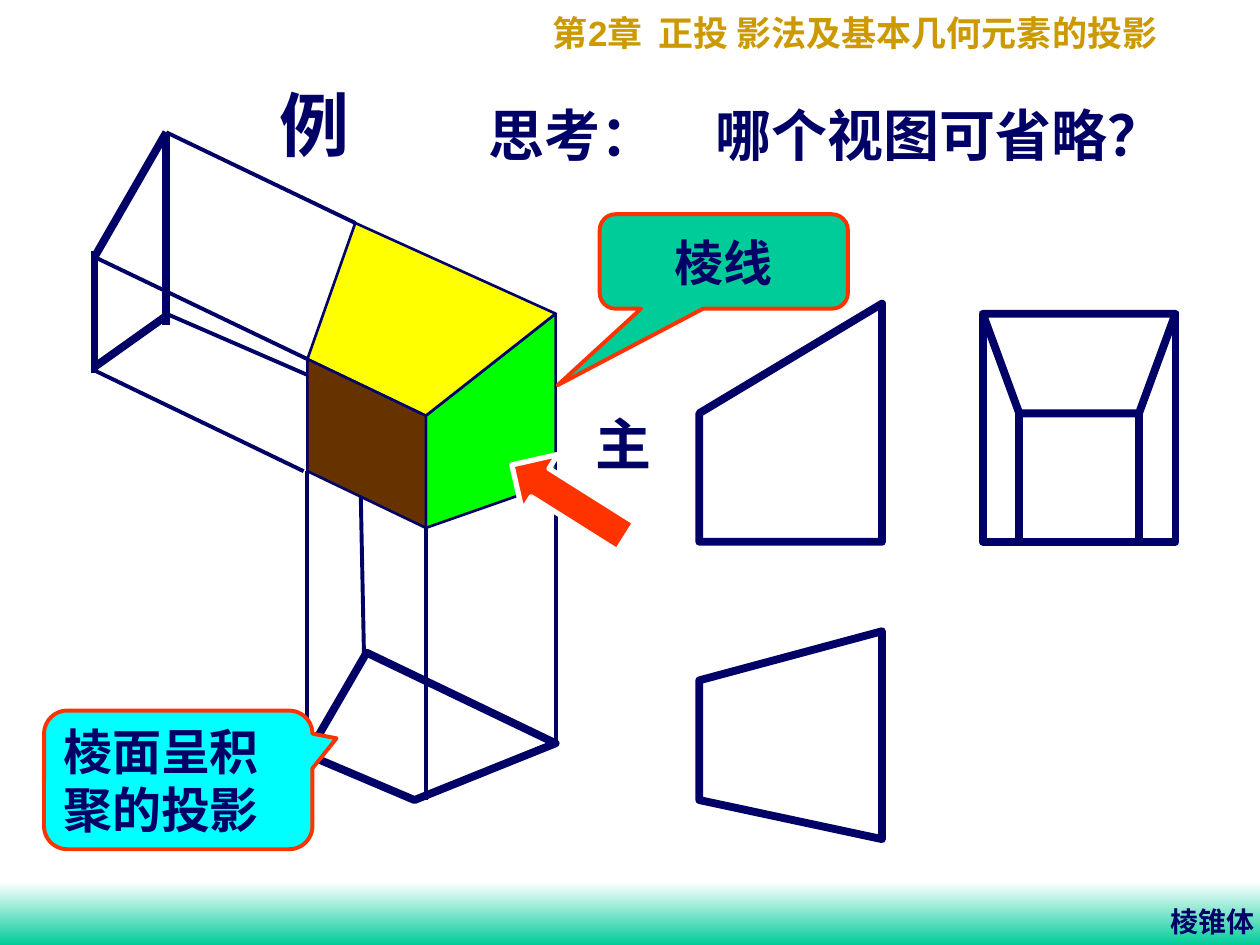
from lxml.etree import SubElement
from pptx import Presentation
from pptx.dml.color import RGBColor as RGB
from pptx.enum.shapes import MSO_CONNECTOR as Connector, MSO_SHAPE as Preset
from pptx.enum.text import MSO_ANCHOR as Anchor, MSO_AUTO_SIZE as AutoSize, PP_ALIGN as Align
from pptx.oxml.ns import qn
from pptx.util import Inches, Pt

COLORS = {
    "ink": "000066", "white": "FFFFFF", "gold": "CC9900", "teal": "00CC99",
    "cyan": "00FFFF", "red": "FF3300", "green": "00FF00", "yellow": "FFFF00",
    "brown": "663300",
}
COLUMNS, ROWS = 100, 75
WIDTH, HEIGHT = Inches(10), Inches(7.5)
THICK, MEDIUM, THIN = 4.5, 2.25, 1.5


def color(name):
    return RGB.from_string(COLORS[name])


def column(count):
    return round(WIDTH * count / COLUMNS)


def row(count):
    return round(HEIGHT * count / ROWS)


def place(box):
    left, top, width, height = box
    return column(left), row(top), column(width), row(height)


def paint(shape, fill=None, line=None, weight=MEDIUM):
    shape.shadow.inherit = False
    if fill:
        shape.fill.solid()
        shape.fill.fore_color.rgb = color(fill)
    else:
        shape.fill.background()
    if line:
        shape.line.color.rgb = color(line)
        shape.line.width = Pt(weight)
    else:
        shape.line.fill.background()


def write(shape, text, size, ink="ink", align=Align.LEFT, anchor=Anchor.TOP, wrap=False):
    frame = shape.text_frame
    frame.text = text
    frame.word_wrap = wrap
    frame.auto_size = AutoSize.NONE
    frame.vertical_anchor = anchor
    frame.margin_left = frame.margin_right = Inches(0.1)
    frame.margin_top = frame.margin_bottom = Inches(0.05)
    for paragraph in frame.paragraphs:
        paragraph.alignment = align
        for run in paragraph.runs:
            run.font.name = "Times New Roman"
            run.font.size = Pt(size)
            run.font.bold = True
            run.font.color.rgb = color(ink)


def add_text(slide, box, text, size, **style):
    shape = slide.shapes.add_textbox(*place(box))
    write(shape, text, size, **style)
    return shape


def add_title(slide, box, text, size):
    title = slide.shapes.title
    title.left, title.top, title.width, title.height = place(box)
    write(title, text, size, wrap=True)


def add_outline(slide, points, fill=None, weight=THICK, close=True):
    corners = [(column(x), row(y)) for x, y in points]
    builder = slide.shapes.build_freeform(*corners[0])
    builder.add_line_segments(corners[1:], close=close)
    paint(builder.convert_to_shape(), fill, "ink", weight)


def add_line(slide, start, end, weight=MEDIUM):
    line = slide.shapes.add_connector(
        Connector.STRAIGHT, column(start[0]), row(start[1]), column(end[0]), row(end[1]))
    line.line.color.rgb = color("ink")
    line.line.width = Pt(weight)
    SubElement(line._element.spPr, qn("a:effectLst"))


def add_preset(slide, preset, box, adjustments, fill, line, weight=MEDIUM):
    shape = slide.shapes.add_shape(preset, *place(box))
    for index, value in enumerate(adjustments):
        shape.adjustments[index] = value
    paint(shape, fill, line, weight)
    return shape


def add_callout(slide, box, tail, fill, text, align):
    shape = add_preset(slide, Preset.ROUNDED_RECTANGULAR_CALLOUT, box, (*tail, 0.167), fill, "red")
    write(shape, text, 28, align=align, anchor=Anchor.MIDDLE)


def add_frame(slide):
    band = slide.shapes.add_shape(Preset.RECTANGLE, *place((0, 70, 100, 5)))
    paint(band)
    band.fill.gradient()
    band.fill.gradient_angle = 270
    for stop, name in zip(band.fill.gradient_stops, ("white", "teal")):
        stop.color.rgb = color(name)
    header = add_text(slide, (42.9, 0.4, 52.9, 4.4), "第", 20, ink="gold", wrap=True)
    paragraph = header.text_frame.paragraphs[0]
    for text, font in (("2", "Arial"), ("章  正投 影法及基本几何元素的投影", "Times New Roman")):
        run = paragraph.add_run()
        run.text = text
        run.font.name = font
        run.font.size = Pt(20)
        run.font.bold = True
        run.font.color.rgb = color("gold")


def add_views(slide):
    left, right, base, shoulder = 55.5, 70, 43, 32.8
    add_outline(slide, [(left, base), (right, base), (right, 24.1), (left, shoulder)])
    add_outline(slide, [(left, 54), (left, 63.5), (right, 66.6), (right, 50.1)])
    outer, inner, top = (78, 93.3), (80.9, 90.4), 24.9
    add_outline(slide, [(outer[0], top), (outer[1], top),
                        (inner[1], shoulder), (inner[0], shoulder)], "white")
    add_outline(slide, [(outer[0], top), (outer[0], base), (outer[1], base), (outer[1], top)],
                close=False)
    for x in inner:
        add_line(slide, (x, shoulder), (x, base), THICK)


def add_solid(slide):
    back, left_top, left_base = (28.2, 17.7), (24.4, 28.5), (24.4, 37.4)
    front_top, front_base = (33.8, 33), (33.8, 41.9)
    right_top, right_base = (44.1, 24.9), (44.1, 38.3)
    wall_top, wall_left = (13.2, 10.5), (7.5, 20.4)
    floor = [(24.4, 59.9), (32.9, 63.5), (44.1, 59), (29.1, 51.8)]

    add_outline(slide, floor, "white")
    projectors = [
        (back, wall_top), (left_top, wall_left), ((24.1, 37.4), (7.5, 29.4)),
        ((13.2, 24.9), right_base), (left_base, (24.4, 59.4)),
        (back, (28.9, 52.5)), (front_base, (33.8, 63.5)), (right_base, floor[2]),
    ]
    wall = [
        (wall_top, wall_left), ((7.5, 19.9), (7.5, 29.6)),
        (wall_top, (13.2, 25.8)), ((7.4, 29.2), (13.3, 25)),
    ]
    for weight, edges in ((MEDIUM, projectors), (THICK, wall)):
        for start, end in edges:
            add_line(slide, start, end, weight)
    faces = {
        "green": [front_top, right_top, right_base, front_base],
        "yellow": [right_top, back, left_top, front_top],
        "brown": [left_top, left_base, front_base, front_top],
    }
    for fill, points in faces.items():
        add_outline(slide, points, fill, THIN)


def main():
    presentation = Presentation()
    presentation.slide_width, presentation.slide_height = WIDTH, HEIGHT
    slide = presentation.slides.add_slide(presentation.slide_layouts[5])
    add_frame(slide)
    add_title(slide, (55.8, 7.5, 39.8, 6.4), "哪个视图可省略？", 32)
    add_text(slide, (37.8, 7.5, 15.3, 6.4), "思考：", 32, align=Align.CENTER)
    add_views(slide)
    add_text(slide, (91.9, 71.3, 8.6, 3.7), "棱锥体", 16)
    add_text(slide, (21.2, 6, 7.5, 7.7), "例", 40, align=Align.CENTER)
    add_solid(slide)
    add_callout(slide, (47.6, 17, 19.7, 7.5), (-0.67, 1.31), "teal", "棱线", Align.CENTER)
    add_callout(slide, (3.5, 56.4, 21.3, 11), (0.59, -0.3), "cyan",
                "棱面呈积\n聚的投影", Align.LEFT)
    arrow = add_preset(slide, Preset.LEFT_ARROW, (39.8, 37.1, 10.7, 5.3), (0.5, 0.5),
                       "red", "white", 3)
    arrow.rotation = 32.2
    add_text(slide, (46.3, 32, 6.4, 6.4), "主", 32)
    presentation.save("out.pptx")


if __name__ == "__main__":
    main()
